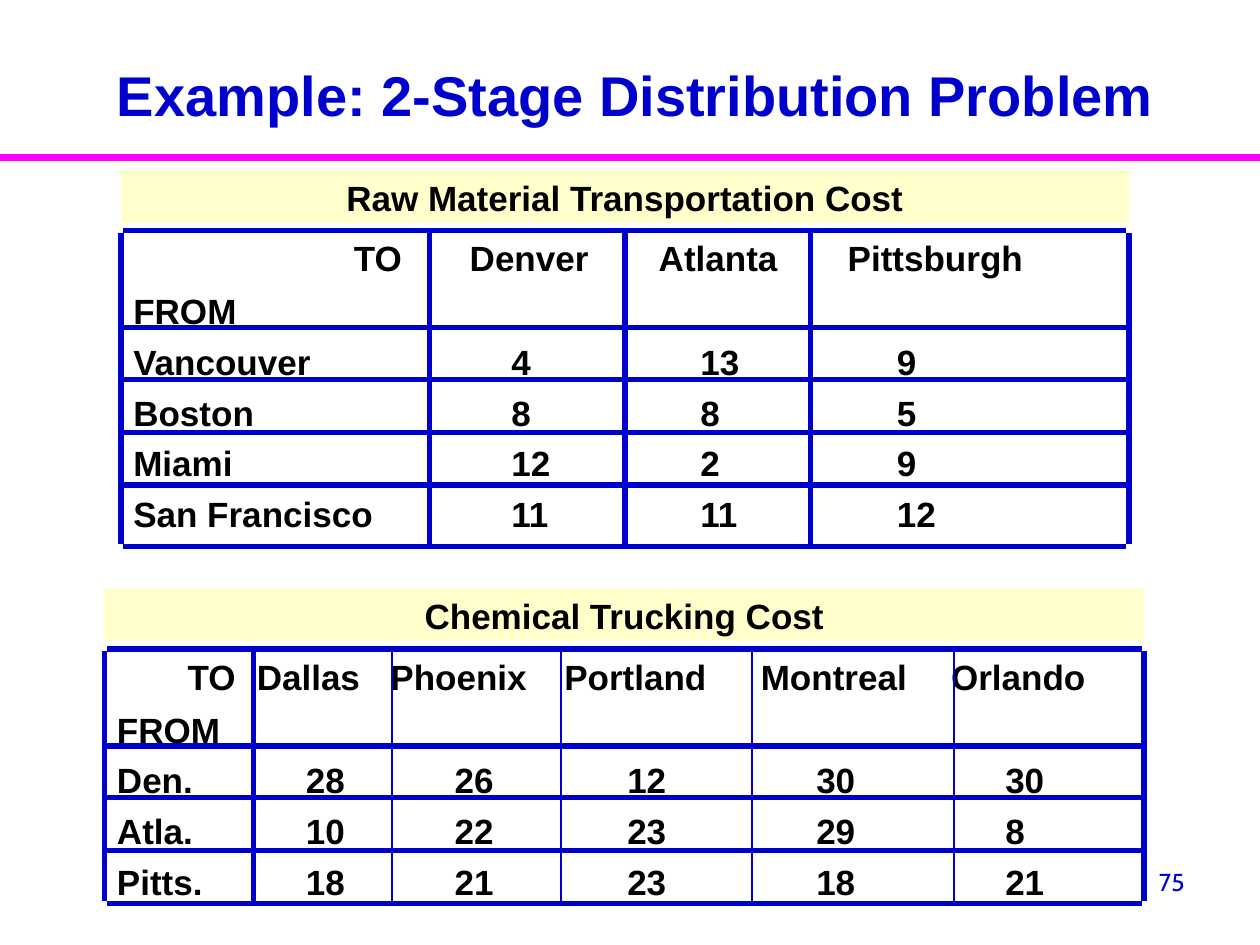
from lxml import etree
from pptx import Presentation
from pptx import util as u
from pptx.dml.color import RGBColor
from pptx.enum import shapes, text
from pptx.oxml.ns import qn

BLUE, BLACK, CREAM, MAGENTA = "0000CC", "000000", "FFFFCC", "FF00FF"
TITLE = "Example: 2-Stage Distribution Problem"
PAGE = "75"
ROW_HEIGHT = 0.42
ROW_LINES = (0, 0.77, 1.18, 1.6, 2.02)  # offsets below the top rule

# Column rules are (x, points); tab stops count from the text's left edge
COST_TABLES = [
    dict(
        caption="Raw Material Transportation Cost",
        left=0.96, top=1.83, width=8, height=2.51,
        rules=[(0.96, 3), (3.41, 3), (4.96, 3), (6.43, 3), (8.96, 3)],
        head=["", "TO", "Denver", "Atlanta", "Pittsburgh"],
        head_tabs=(1.75, 2.67, 4.17, 5.67),
        rows=[["FROM"],
              ["Vancouver", 4, 13, 9],
              ["Boston", 8, 8, 5],
              ["Miami", 12, 2, 9],
              ["San Francisco", 11, 11, 12]],
        row_tabs=(3, 4.5, 6.06),
    ),
    dict(
        caption="Chemical Trucking Cost",
        left=0.83, top=5.15, width=8.25, height=2.02,
        rules=[(0.83, 3), (2.01, 3), (3.11, 1), (4.45, 1), (5.97, 1),
               (7.57, 1), (9.08, 3)],
        head=["", "TO", "Dallas", "Phoenix", "Portland", "Montreal", "Orlando"],
        head_tabs=(0.56, 1.11, 2.17, 3.55, 5.11, 6.62),
        rows=[["FROM"],
              ["Den.", 28, 26, 12, 30, 30],
              ["Atla.", 10, 22, 23, 29, 8],
              ["Pitts.", 18, 21, 23, 18, 21]],
        row_tabs=(1.5, 2.68, 4.05, 5.55, 7.05),
    ),
]


def rgb(color):
    return RGBColor.from_string(color)


def inches(*lengths):
    return [u.Inches(length) for length in lengths]


def add_rule(parent, x1, y1, x2, y2, color, points):
    rule = parent.add_connector(shapes.MSO_CONNECTOR.STRAIGHT,
                                *inches(x1, y1, x2, y2))
    rule.line.color.rgb = rgb(color)
    rule.line.width = u.Pt(points)
    etree.SubElement(rule._element.spPr, qn("a:effectLst"))


def write(frame, lines, size=20, color=BLACK, font="Arial", bold=True,
          align=text.PP_ALIGN.LEFT, anchor=text.MSO_ANCHOR.TOP, tabs=()):
    frame.word_wrap = True
    frame.vertical_anchor = anchor
    for index, line in enumerate(lines):
        paragraph = frame.add_paragraph() if index else frame.paragraphs[0]
        paragraph.text = line
        paragraph.alignment = align
        if tabs:
            stops = etree.SubElement(paragraph._p.get_or_add_pPr(),
                                     qn("a:tabLst"))
            for stop in tabs:
                etree.SubElement(stops, qn("a:tab"),
                                 pos=str(u.Inches(stop)), algn="l")
        if index:
            paragraph.space_before = u.Pt(5)
        paragraph.font.size = u.Pt(size)
        paragraph.font.name = font
        paragraph.font.bold = bold
        paragraph.font.color.rgb = rgb(color)


def add_text(parent, box, lines, **style):
    write(parent.add_textbox(*inches(*box)).text_frame, lines, **style)


def tabbed(cells):
    return "\t".join(map(str, cells))


def add_cost_table(parent, table):
    left, top, width = table["left"], table["top"], table["width"]
    bottom = top + table["height"]

    # Caption band
    band = parent.add_shape(shapes.MSO_SHAPE.RECTANGLE,
                            *inches(left, top - 0.48, width, ROW_HEIGHT))
    band.shadow.inherit = False
    band.fill.solid()
    band.fill.fore_color.rgb = rgb(CREAM)
    band.line.fill.background()
    write(band.text_frame, [table["caption"]], align=text.PP_ALIGN.CENTER)

    # Header and cost rows, aligned by tab stops
    add_text(parent, (left, top, width, ROW_HEIGHT), [tabbed(table["head"])],
             tabs=table["head_tabs"])
    add_text(parent, (left, top + ROW_HEIGHT, width, ROW_HEIGHT),
             [tabbed(row) for row in table["rows"]], tabs=table["row_tabs"])

    # Rules: one under each row, then the columns
    row_ends = [top + offset for offset in ROW_LINES[:len(table["rows"])]]
    for y in row_ends + [bottom]:
        add_rule(parent, left + 0.02, y, left + width - 0.02, y, BLUE, 3)
    for x, points in table["rules"]:
        add_rule(parent, x, top + 0.02, x, bottom - 0.02, BLUE, points)


def main():
    deck = Presentation()
    deck.slide_width, deck.slide_height = inches(10, 7.5)
    slide = deck.slides.add_slide(deck.slide_layouts[6])

    # Title, divider and page number
    add_rule(slide.shapes, 0, 1.25, 10, 1.25, MAGENTA, 4)
    add_text(slide.shapes, (0.83, 0.33, 8.58, 0.83), [TITLE], size=32,
             color=BLUE, anchor=text.MSO_ANCHOR.MIDDLE)
    add_text(slide.shapes, (7.17, 6.83, 2.33, 0.52), [PAGE], size=14,
             color=BLUE, font="Cabin", bold=False, align=text.PP_ALIGN.RIGHT)

    # Cost tables
    for table in COST_TABLES:
        add_cost_table(slide.shapes.add_group_shape().shapes, table)

    deck.save("out.pptx")


if __name__ == "__main__":
    main()
